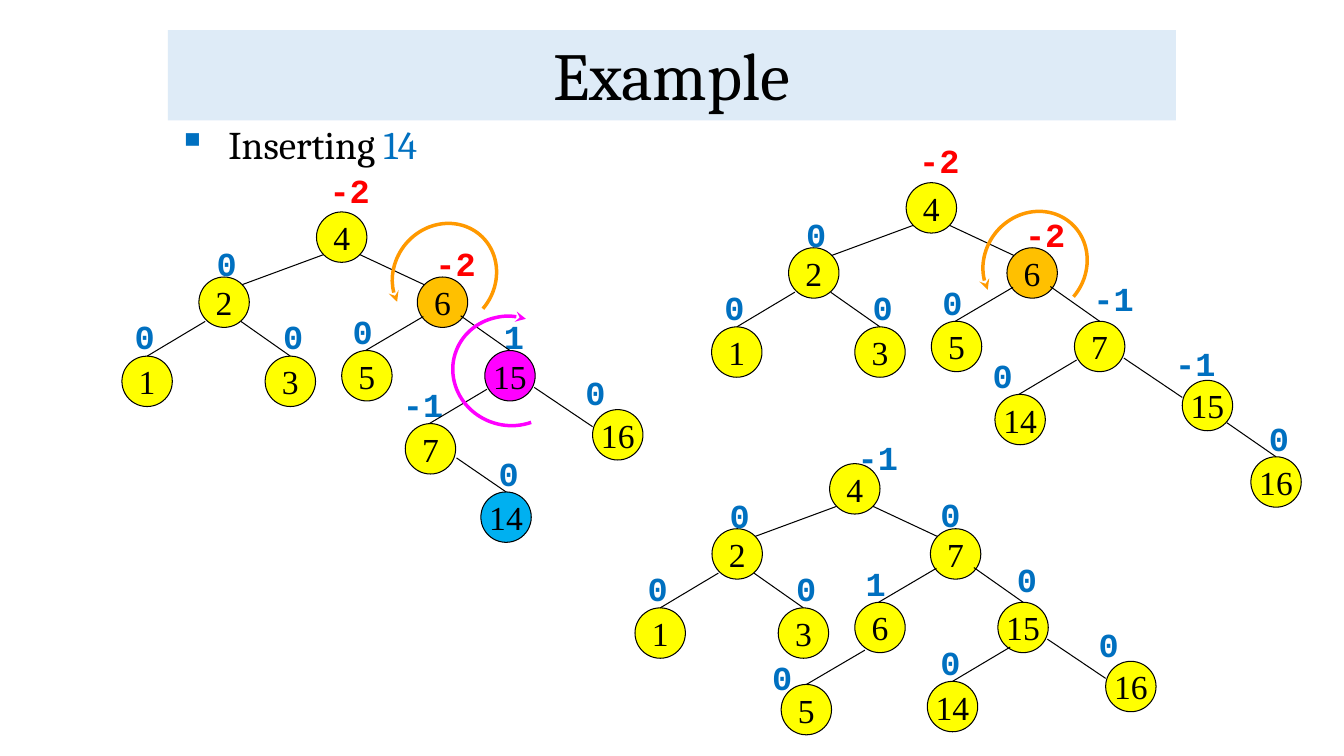
"""Build the slide on inserting 14 into an AVL tree, with three tree states."""
from lxml.etree import SubElement
from pptx import Presentation
from pptx.dml.color import RGBColor
from pptx.enum.shapes import MSO_CONNECTOR as Connector, MSO_SHAPE as Shape
from pptx.enum.text import MSO_ANCHOR as Anchor, MSO_AUTO_SIZE as AutoSize, PP_ALIGN as Align
from pptx.oxml.ns import qn
from pptx.util import Pt

BLACK, BLUE, RED = "000000", "0070C0", "FF0000"
YELLOW, AMBER, MAGENTA, CYAN, ORANGE = "FFFF00", "FFC000", "FF00FF", "00B0F0", "FF9900"
NODE_SIZE = 36


def color(value):
    return RGBColor.from_string(value)


def set_font(font, name, size, value, bold=False):
    font.name, font.size, font.bold = name, Pt(size), bold
    font.color.rgb = color(value)


presentation = Presentation()
presentation.slide_width, presentation.slide_height = Pt(960), Pt(540)
slide = presentation.slides.add_slide(presentation.slide_layouts[5])

title = slide.shapes.title
title.left, title.top, title.width, title.height = Pt(120), Pt(21.6), Pt(720), Pt(64.4)
title.fill.solid()
title.fill.fore_color.rgb = color("DEEBF7")
title.text_frame.text = "Example"
title.text_frame.vertical_anchor = Anchor.BOTTOM
title.text_frame.auto_size = AutoSize.NONE
paragraph = title.text_frame.paragraphs[0]
paragraph.alignment = Align.CENTER
paragraph.line_spacing = 0.9
set_font(paragraph.font, "Cambria", 48, BLACK)

subtitle = slide.shapes.add_textbox(Pt(120), Pt(86), Pt(720), Pt(32))
subtitle.text_frame.word_wrap = True
paragraph = subtitle.text_frame.paragraphs[0]
properties = paragraph._p.get_or_add_pPr()
properties.set("marL", str(Pt(36)))
properties.set("indent", str(-Pt(36)))
bullet_color = SubElement(properties, qn("a:buClr"))
SubElement(bullet_color, qn("a:srgbClr"), val=BLUE)
SubElement(properties, qn("a:buChar"), char="▪")
paragraph.line_spacing = 0.9
for text, value in (("Inserting ", BLACK), ("14", BLUE)):
    run = paragraph.add_run()
    run.text = text
    set_font(run.font, "Cambria", 28, value)

# Slot: node corner, balance label corner, edge start and end, all from the root corner.
SLOTS = {
    "root": ((0, 0), (2.2, -33.8), None),
    "L": ((-84, 46.5), (-78.5, 18.5), (5, 30.5, -53.3, 52)),
    "R": ((72, 46.5), (77.8, 18.7), (31, 30.5, 77, 52)),
    "LL": ((-139, 103), (-137, 71), (-79.5, 78.2, -121, 103)),
    "LR": ((-36.7, 103), (-31, 71), (-54, 78.2, -18.7, 103)),
    "RL": ((18, 99), (18.7, 67.5), (76.3, 74.7, 35, 99)),
    "RR": ((120.2, 99), (126.7, 64.5), (103, 74.2, 138.2, 99)),
    "RLL": ((-34.6, 157.7), (-48.2, 134.6), (25.2, 133.2, -16.6, 157.7)),
    "RRL": ((63.4, 151.2), (54.7, 119.5), (121.7, 126.7, 80.5, 151.2)),
    "RRL low": ((69.8, 155.5), (72, 123.8), (129, 131, 87.8, 155.5)),
    "RRR": ((197.2, 141.2), (185, 111), (155.5, 125.3, 197.2, 153.4)),
    "RRLR": ((117.4, 200), (123, 168.5), (100, 175.7, 135.4, 200)),
    "RRRR": ((246.2, 195.8), (252, 164.2), (229, 171.4, 264.2, 195.8)),
}
LEFT_BRANCH = [("L", "2", "0", YELLOW), ("LL", "1", "0", YELLOW), ("LR", "3", "0", YELLOW)]
TREES = {
    "balanced": (592.6, 331.2, [
        ("root", "4", "-1", YELLOW), ("R", "7", "0", YELLOW), ("RL", "6", "1", YELLOW),
        ("RR", "15", "0", YELLOW), ("RLL", "5", "0", YELLOW),
        ("RRL low", "14", "0", YELLOW), ("RRR", "16", "0", YELLOW)]),
    "inserted": (226.1, 151.4, [
        ("root", "4", "-2", YELLOW), ("R", "6", "-2", AMBER), ("RL", "5", "0", YELLOW),
        ("RR", "15", "1", MAGENTA), ("RRR", "16", "0", YELLOW),
        ("RRL", "7", "-1", YELLOW), ("RRLR", "14", "0", CYAN)]),
    "rotated": (647.3, 130.5, [
        ("root", "4", "-2", YELLOW), ("R", "6", "-2", AMBER), ("RL", "5", "0", YELLOW),
        ("RR", "7", "-1", YELLOW), ("RRR", "15", "-1", YELLOW),
        ("RRL", "14", "0", YELLOW), ("RRRR", "16", "0", YELLOW)]),
}
LABEL_SHIFTS = {("balanced", "root"): (10.8, 10.8), ("balanced", "R"): (-5.8, -0.7),
                ("inserted", "RR"): (0, 6)}

for tree, (root_x, root_y, nodes) in TREES.items():
    group = slide.shapes.add_group_shape()
    for slot, key, balance, fill in nodes + LEFT_BRANCH:
        (node_x, node_y), (label_x, label_y), edge = SLOTS[slot]
        node = group.shapes.add_shape(Shape.OVAL, Pt(root_x + node_x), Pt(root_y + node_y),
                                      Pt(NODE_SIZE), Pt(NODE_SIZE))
        node.shadow.inherit = False
        node.fill.solid()
        node.fill.fore_color.rgb = color(fill)
        node.line.color.rgb = color(BLACK)
        node.line.width = Pt(0.75)
        node.text_frame.text = key
        node.text_frame.word_wrap = False
        node.text_frame.vertical_anchor = Anchor.MIDDLE
        paragraph = node.text_frame.paragraphs[0]
        paragraph.alignment = Align.CENTER
        set_font(paragraph.font, "Times New Roman", 24, BLACK)

        shift_x, shift_y = LABEL_SHIFTS.get((tree, slot), (0, 0))
        label = group.shapes.add_textbox(Pt(root_x + label_x + shift_x),
                                         Pt(root_y + label_y + shift_y),
                                         Pt(14.4 * (len(balance) + 1)), Pt(36))
        label.text_frame.text = balance
        label.text_frame.word_wrap = False
        label.text_frame.auto_size = AutoSize.SHAPE_TO_FIT_TEXT
        set_font(label.text_frame.paragraphs[0].font, "Courier New", 24,
                 RED if balance == "-2" else BLUE, True)

        if edge:
            start_x, start_y, end_x, end_y = edge
            line = group.shapes.add_connector(Connector.STRAIGHT,
                                              Pt(root_x + start_x), Pt(root_y + start_y),
                                              Pt(root_x + end_x), Pt(root_y + end_y))
            line.line.color.rgb = color(BLACK)
            line.line.width = Pt(0.75)
            SubElement(line._element.spPr, qn("a:effectLst"))

ROTATION_ARROWS = [
    (325.4, 223.9, 77.8, 82.1, 287, 84.36, "a:tailEnd", MAGENTA),
    (281.5, 158.4, 72, 77.8, 40.3, 66.77, "a:headEnd", ORANGE),
    (703.4, 149.8, 72, 77.8, 40.3, 66.77, "a:headEnd", ORANGE),
]
for left, top, width, height, rotation, start, arrow_end, value in ROTATION_ARROWS:
    arc = slide.shapes.add_shape(Shape.ARC, Pt(left), Pt(top), Pt(width), Pt(height))
    arc.shadow.inherit = False
    arc.rotation = rotation
    arc.adjustments[0], arc.adjustments[1] = start, 0
    arc.fill.background()
    arc.line.color.rgb = color(value)
    arc.line.width = Pt(2.5)
    SubElement(arc.line._get_or_add_ln(), qn(arrow_end), type="stealth")

presentation.save("out.pptx")
